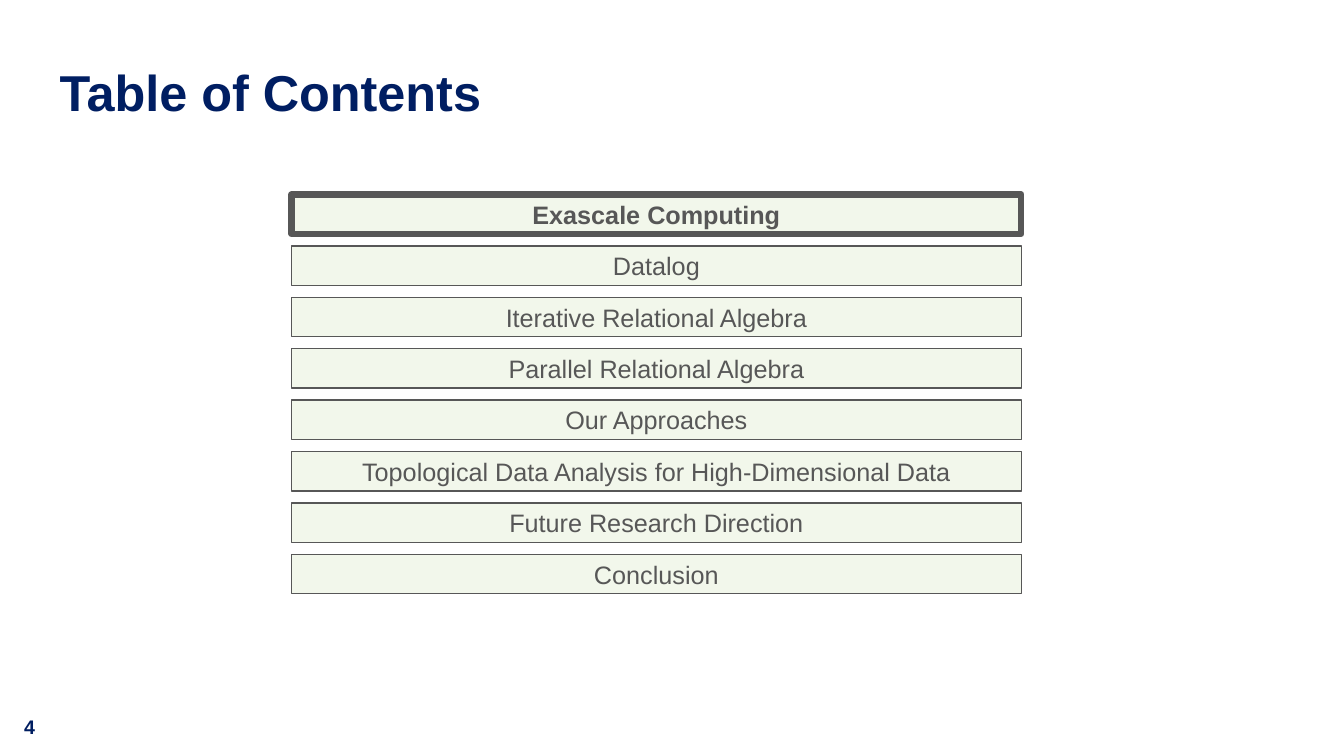
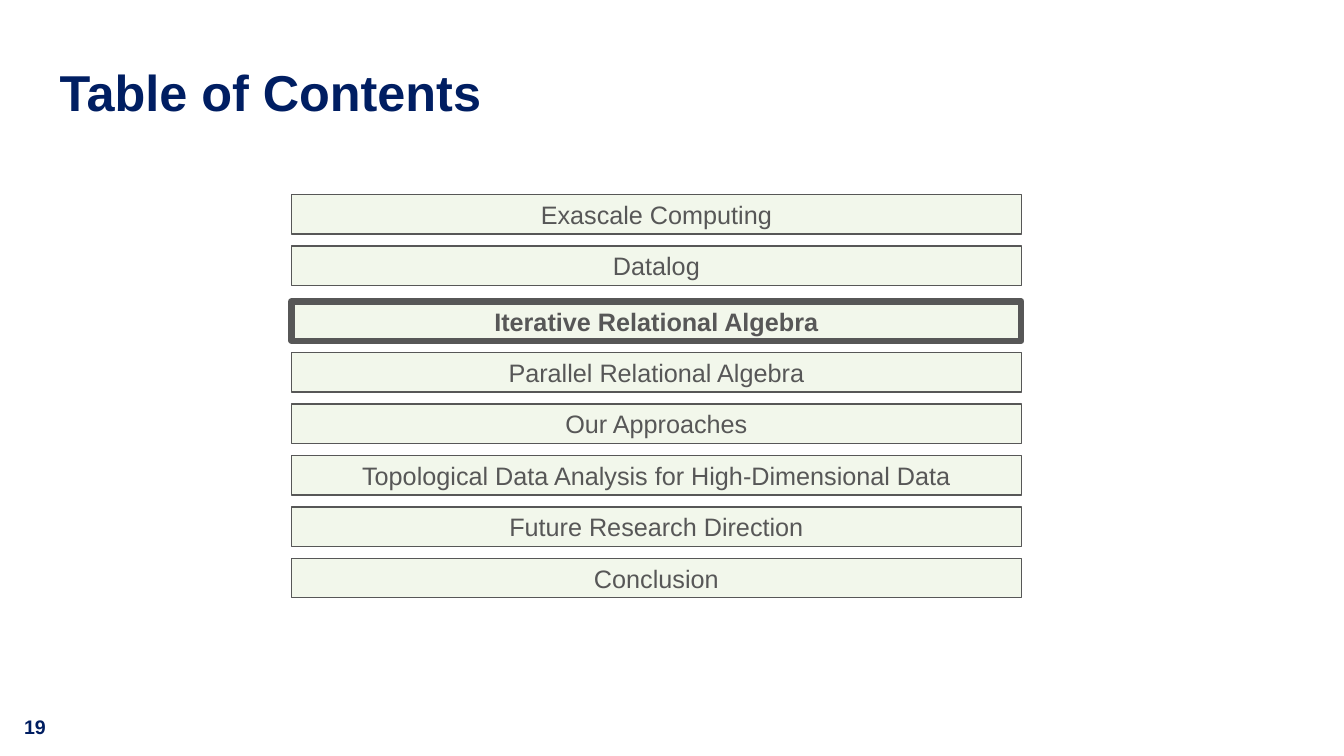
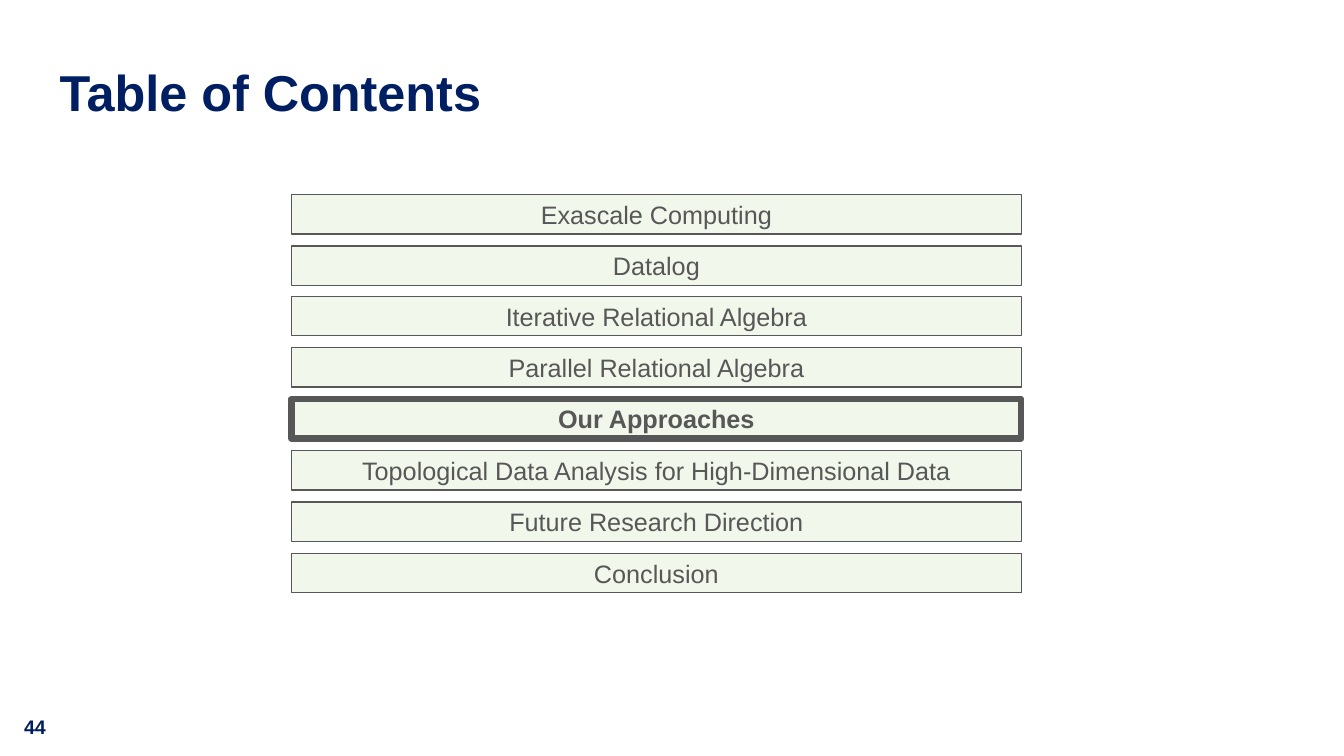
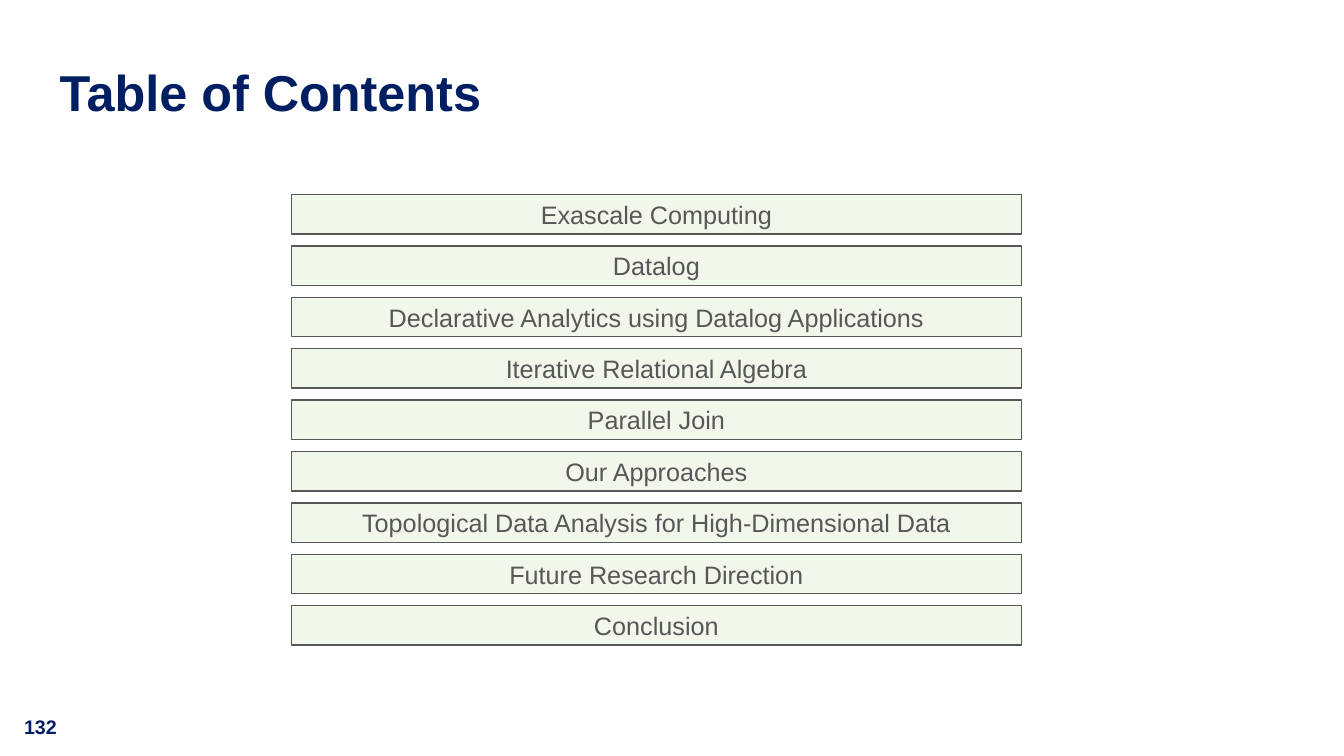
"""Build the four contents slides of a talk."""
from pptx import Presentation
from pptx.dml.color import RGBColor
from pptx.enum.shapes import MSO_SHAPE
from pptx.enum.text import MSO_ANCHOR, MSO_AUTO_SIZE, PP_ALIGN
from pptx.util import Inches, Pt

NAVY, GREY, PALE = "001E62", "575757", "F2F7EB"
TOP, STEP = 1.93, 0.51

START = ["Exascale Computing", "Datalog"]
END = ["Our Approaches", "Topological Data Analysis for High-Dimensional Data",
       "Future Research Direction", "Conclusion"]
MAIN = START + ["Iterative Relational Algebra", "Parallel Relational Algebra"] + END
LONG = START + ["Declarative Analytics using Datalog Applications",
                "Iterative Relational Algebra", "Parallel Join"] + END

PAGES = [
    ("4", MAIN, "Exascale Computing", 0),
    ("19", MAIN, "Iterative Relational Algebra", 0.04),
    ("44", MAIN, "Our Approaches", -0.01),
    ("132", LONG, None, 0),
]


def color(code):
    return RGBColor.from_string(code)


def write(frame, text, size, code, bold, align):
    frame.text = text
    frame.vertical_anchor = MSO_ANCHOR.MIDDLE
    para = frame.paragraphs[0]
    para.alignment = align
    font = para.runs[0].font
    font.name, font.size, font.bold = "Arial", Pt(size), bold
    font.color.rgb = color(code)


deck = Presentation()
deck.slide_width, deck.slide_height = Inches(13.33), Inches(7.5)

for page, topics, active, shift in PAGES:
    slide = deck.slides.add_slide(deck.slide_layouts[5])

    title = slide.shapes.title
    title.left, title.top = Inches(0.59), Inches(0.52)
    title.width, title.height = Inches(11.63), Inches(0.84)
    frame = title.text_frame
    frame.margin_left = frame.margin_right = 0
    frame.margin_top = frame.margin_bottom = 0
    frame.auto_size = MSO_AUTO_SIZE.NONE
    write(frame, "Table of Contents", 36, NAVY, True, PP_ALIGN.LEFT)
    frame.paragraphs[0].line_spacing = 0.9

    for row, topic in enumerate(topics):
        top = TOP + row * STEP + (shift if row >= len(START) else 0)
        bar = slide.shapes.add_shape(MSO_SHAPE.RECTANGLE, Inches(2.89), Inches(top),
                                     Inches(7.24), Inches(0.39))
        bar.shadow.inherit = False
        bar.fill.solid()
        bar.fill.fore_color.rgb = color(PALE)
        bar.line.color.rgb = color(GREY)
        bar.line.width = Pt(4.5 if topic == active else 1)
        write(bar.text_frame, topic, 18, GREY, topic == active, PP_ALIGN.CENTER)

    number = slide.shapes.add_textbox(Inches(0.14), Inches(7.04), Inches(0.66), Inches(0.34))
    number.text_frame.word_wrap = True
    write(number.text_frame, page, 14, "001E61", True, PP_ALIGN.LEFT)

deck.save("out.pptx")
